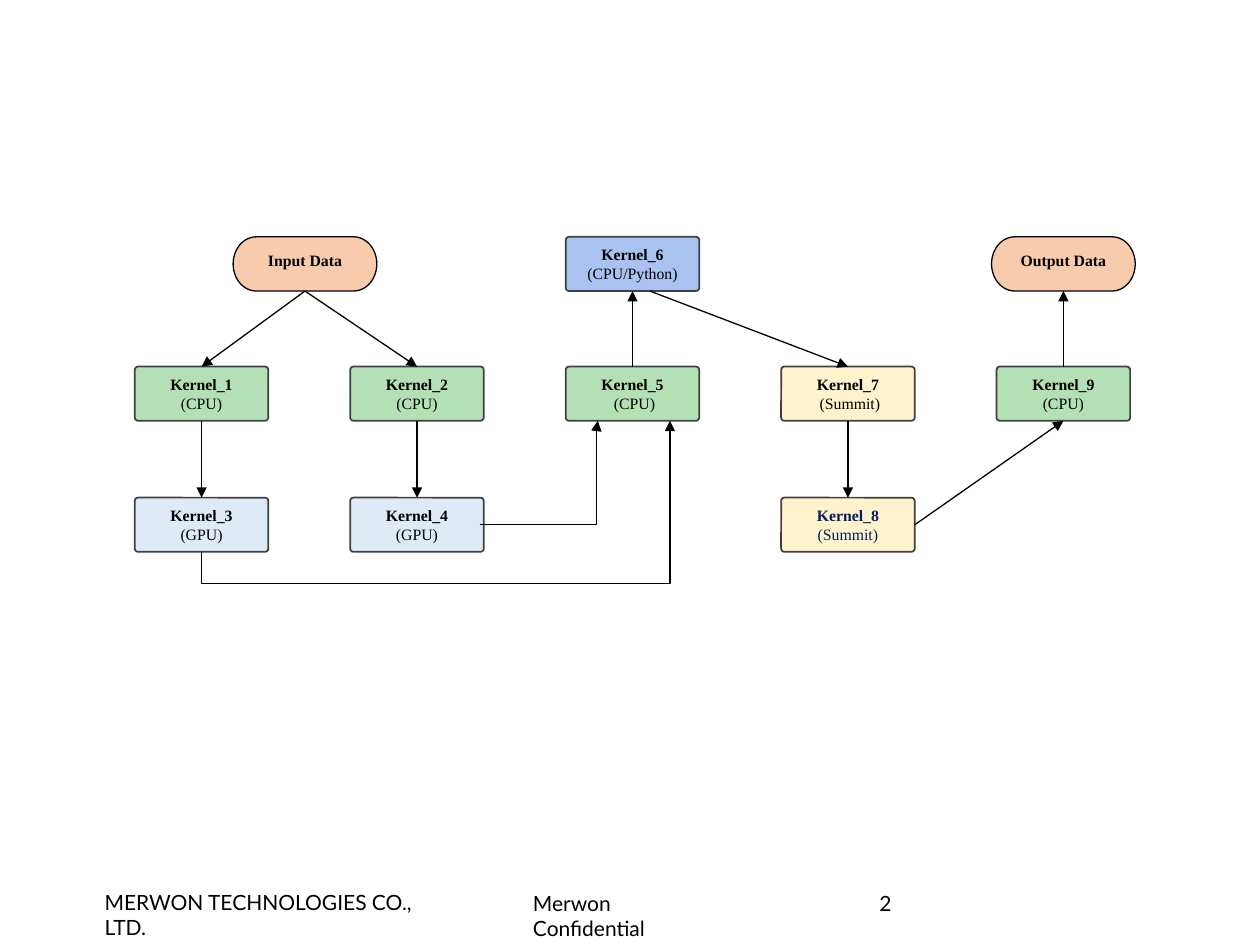
"""Build a slide with a flow chart of nine kernels between input and output data."""
from lxml import etree
from pptx import Presentation
from pptx.dml.color import RGBColor
from pptx.enum.shapes import MSO_CONNECTOR, MSO_SHAPE
from pptx.enum.text import MSO_ANCHOR, PP_ALIGN
from pptx.oxml.ns import qn
from pptx.util import Inches, Pt

ROUNDED, TERMINATOR = MSO_SHAPE.ROUNDED_RECTANGLE, MSO_SHAPE.FLOWCHART_TERMINATOR
STRAIGHT, ELBOW = MSO_CONNECTOR.STRAIGHT, MSO_CONNECTOR.ELBOW
CENTER, LEFT = PP_ALIGN.CENTER, PP_ALIGN.LEFT

COLORS = {
    "data": "F8CBAD", "cpu": "B3E0B4", "gpu": "DEEBF7", "python": "A9C2F0",
    "npu": "FFF2CC", "outline": "404040", "black": "000000", "navy": "002060",
}
KERNELS = [
    ("Kernel_1", "(CPU)", "cpu", "black", 0, 1),
    ("Kernel_2", "(CPU)", "cpu", "black", 1, 1),
    ("Kernel_3", "(GPU)", "gpu", "black", 0, 2),
    ("Kernel_4", "(GPU)", "gpu", "black", 1, 2),
    ("Kernel_5", " (CPU)", "cpu", "black", 2, 1),
    ("Kernel_6", "(CPU/Python)", "python", "black", 2, 0),
    ("Kernel_7", " (Summit)", "npu", "black", 3, 1),
    ("Kernel_8", "(Summit)", "npu", "navy", 3, 2),
    ("Kernel_9", "(CPU)", "cpu", "black", 4, 1),
]
ENDPOINTS = [("Input Data", 0.48, 0), ("Output Data", 4, 0)]

TOP, BOTTOM, RIGHT = (0.5, 0), (0.5, 1), (1, 0.5)
ARROWS = [
    ("Input Data", BOTTOM, "Kernel_1", TOP),
    ("Input Data", BOTTOM, "Kernel_2", TOP),
    ("Kernel_1", BOTTOM, "Kernel_3", TOP),
    ("Kernel_2", BOTTOM, "Kernel_4", TOP),
    ("Kernel_5", TOP, "Kernel_6", BOTTOM),
    ("Kernel_6", (0.63, 1), "Kernel_7", TOP),
    ("Kernel_9", TOP, "Output Data", BOTTOM),
    ("Kernel_7", BOTTOM, "Kernel_8", TOP),
    ("Kernel_8", RIGHT, "Kernel_9", BOTTOM),
]
SIDE_BEND = ("Kernel_4", (0.97, 0.5), "Kernel_5", (0.24, 1))
UNDER_BEND = ("Kernel_3", BOTTOM, "Kernel_5", (0.78, 1))

FOOTERS = [
    ("MERWON TECHNOLOGIES CO., LTD.", (0.83, 7.06, 2.78, 0.2), 0, 1),
    ("Merwon Confidential", (4.14, 7.07, 1.67, 0.2), 0.09, 1),
    ("2", (6.94, 7.1, 1.97, 0.4), 0.04, 0.85),
]

FIRST_COLUMN, COLUMN_STEP = 1.07, 1.71
ROWS = (1.88, 2.91, 3.95)
KERNEL_SIZE, DATA_SIZE = (1.06, 0.43), (1.14, 0.43)
KERNEL_FRAME = {
    "margin_left": 0, "margin_right": 0, "margin_top": 0, "margin_bottom": 0,
    "vertical_anchor": MSO_ANCHOR.MIDDLE, "word_wrap": True,
}
DATA_FRAME = {"vertical_anchor": MSO_ANCHOR.TOP, "word_wrap": True}


def apply(target, values):
    for attribute, value in values.items():
        setattr(target, attribute, value)


def color(name):
    return RGBColor.from_string(COLORS[name])


def write(paragraph, text, align, ink, **font):
    paragraph.alignment = align
    run = paragraph.add_run()
    run.text = text
    apply(run.font, font)
    run.font.color.rgb = color(ink)


def add_node(slide, preset, size, column, row, fill, outline, width, frame, lines, ink):
    center = FIRST_COLUMN + column * COLUMN_STEP + KERNEL_SIZE[0] / 2
    box = (center - size[0] / 2, ROWS[row], *size)
    node = slide.shapes.add_shape(preset, *map(Inches, box))
    node.shadow.inherit = False
    node.fill.solid()
    node.fill.fore_color.rgb = color(fill)
    node.line.color.rgb = color(outline)
    node.line.width = Pt(width)
    if preset == ROUNDED:
        node.adjustments[0] = 0.06
    apply(node.text_frame, frame)
    for index, text in enumerate(lines):
        paragraph = node.text_frame.add_paragraph() if index else node.text_frame.paragraphs[0]
        write(paragraph, text, CENTER, ink, name="Times New Roman", size=Pt(9), bold=index == 0)
    return box


def anchor(box, share):
    return box[0] + box[2] * share[0], box[1] + box[3] * share[1]


def add_arrow(slide, kind, start, end):
    arrow = slide.shapes.add_connector(kind, *map(Inches, (*start, *end)))
    arrow.line.color.rgb = color("black")
    arrow.line.width = Pt(0.75)
    etree.SubElement(arrow.line._get_or_add_ln(), qn("a:tailEnd"), type="triangle")
    etree.SubElement(arrow._element.spPr, qn("a:effectLst"))
    return arrow


def set_bends(arrow, *shares):
    geometry = arrow._element.spPr.find(qn("a:prstGeom"))
    geometry.set("prst", f"bentConnector{len(shares) + 2}")
    guides = geometry.find(qn("a:avLst"))
    for number, share in enumerate(shares, 1):
        etree.SubElement(guides, qn("a:gd"), name=f"adj{number}" if len(shares) > 1 else "adj1",
                         fmla=f"val {round(share * 100000)}")


def add_quarter_turned(slide, start, end):
    middle = [(a + b) / 2 for a, b in zip(start, end)]
    turned = (start[1] - middle[1], middle[0] - start[0])
    arrow = add_arrow(slide, ELBOW, [m + t for m, t in zip(middle, turned)],
                      [m - t for m, t in zip(middle, turned)])
    arrow._element.spPr.find(qn("a:xfrm")).set("rot", "5400000")
    return arrow


def main():
    deck = Presentation()
    deck.slide_width, deck.slide_height = Inches(10), Inches(7.5)
    slide = deck.slides.add_slide(deck.slide_layouts[6])

    for text, box, inset, spacing in FOOTERS:
        frame = slide.shapes.add_textbox(*map(Inches, box)).text_frame
        apply(frame, {"margin_left": Inches(inset), "margin_right": Inches(0.09),
                      "margin_top": 0, "margin_bottom": 0, "word_wrap": True})
        frame.paragraphs[0].line_spacing = spacing
        write(frame.paragraphs[0], text, LEFT, "black", name="Lato", size=Pt(12))

    boxes = {}
    for title, device, fill, ink, column, row in KERNELS:
        boxes[title] = add_node(slide, ROUNDED, KERNEL_SIZE, column, row, fill, "outline", 1,
                                KERNEL_FRAME, (title, device), ink)
    for title, column, row in ENDPOINTS:
        boxes[title] = add_node(slide, TERMINATOR, DATA_SIZE, column, row, "data", "black", 0.75,
                                DATA_FRAME, (title,), "black")

    def ends(source, leave, target, enter):
        return anchor(boxes[source], leave), anchor(boxes[target], enter)

    for arrow in ARROWS:
        add_arrow(slide, STRAIGHT, *ends(*arrow))
    set_bends(add_arrow(slide, ELBOW, *ends(*SIDE_BEND)), 0.99)
    set_bends(add_quarter_turned(slide, *ends(*UNDER_BEND)), -0.24, 1)
    deck.save("out.pptx")


if __name__ == "__main__":
    main()
